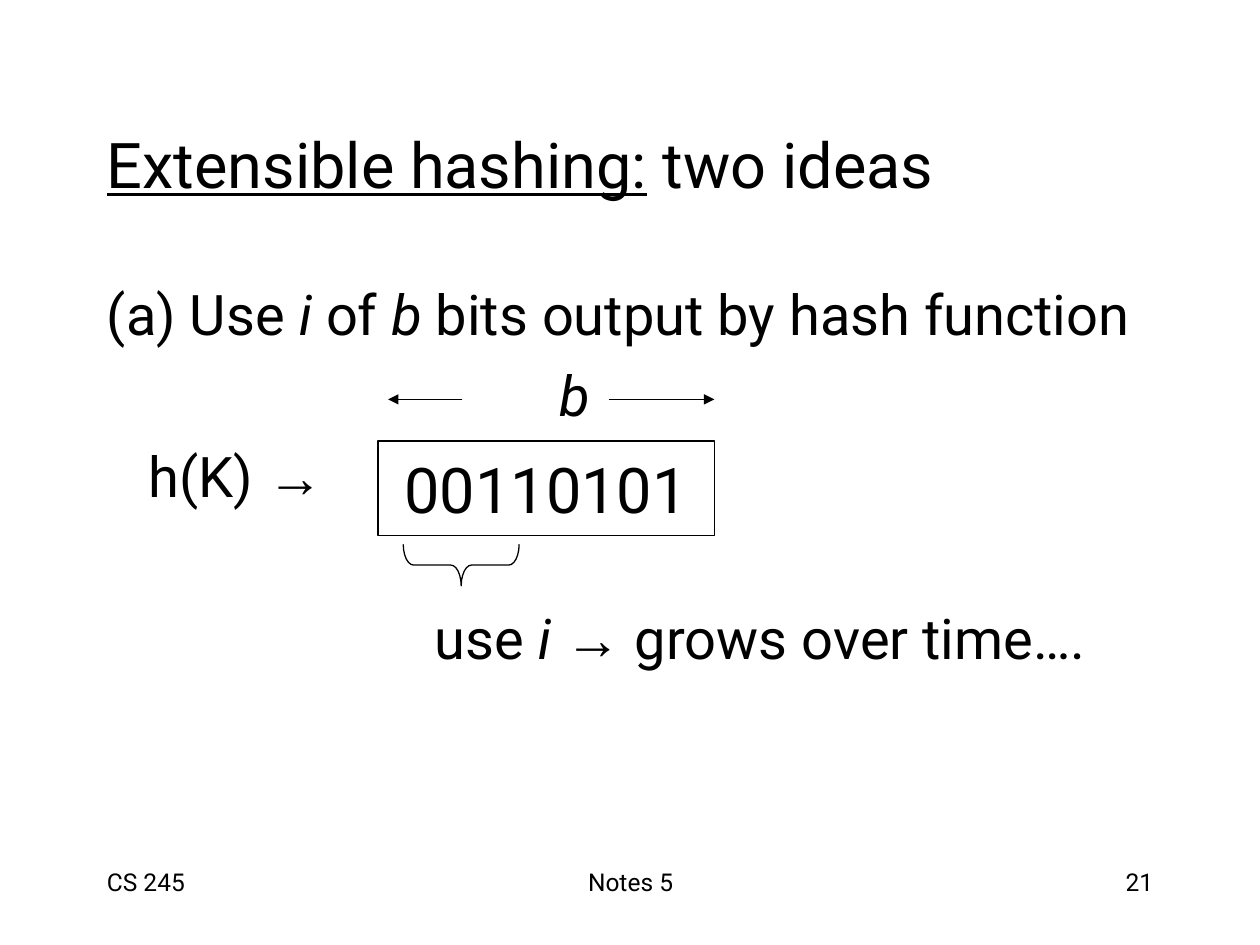
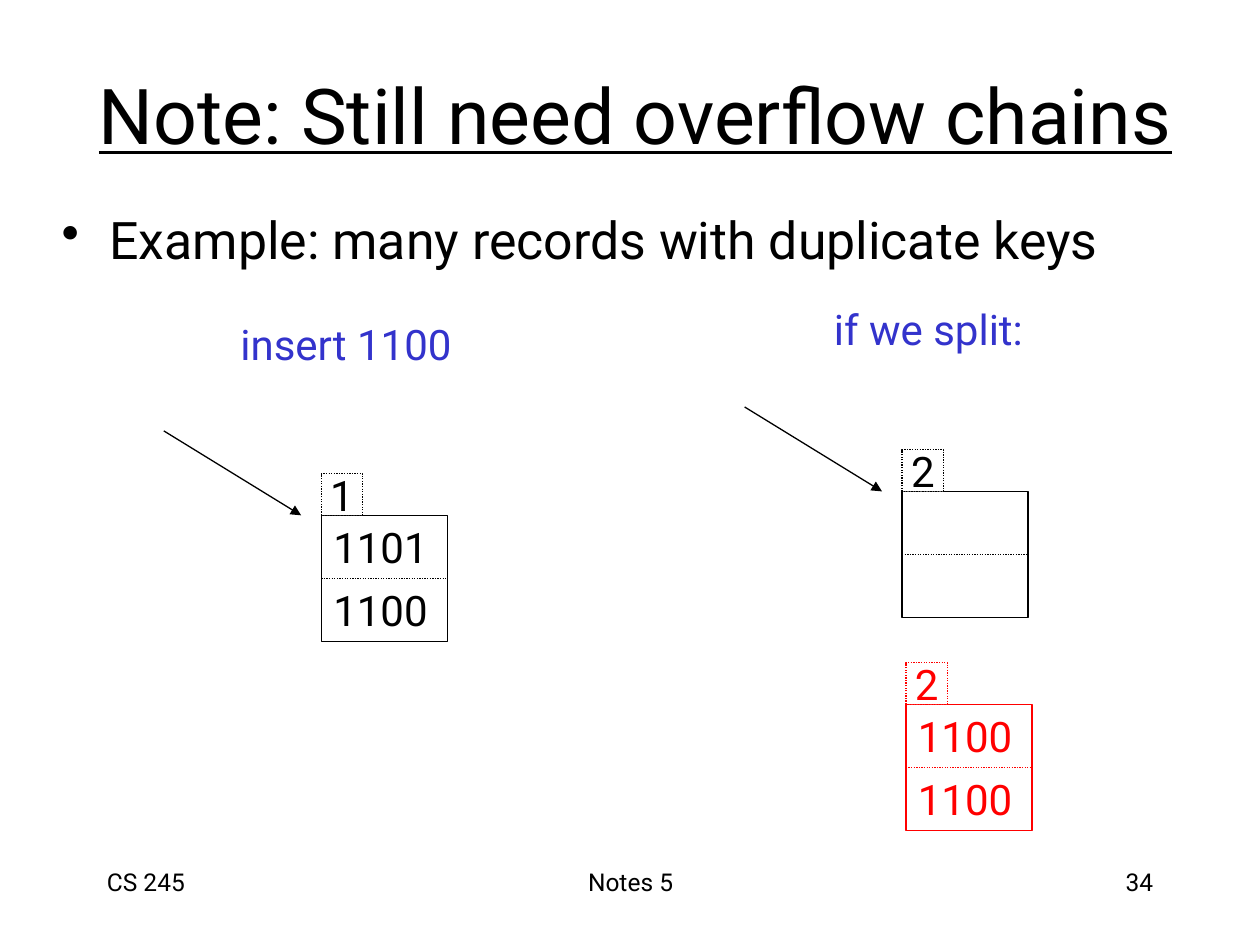
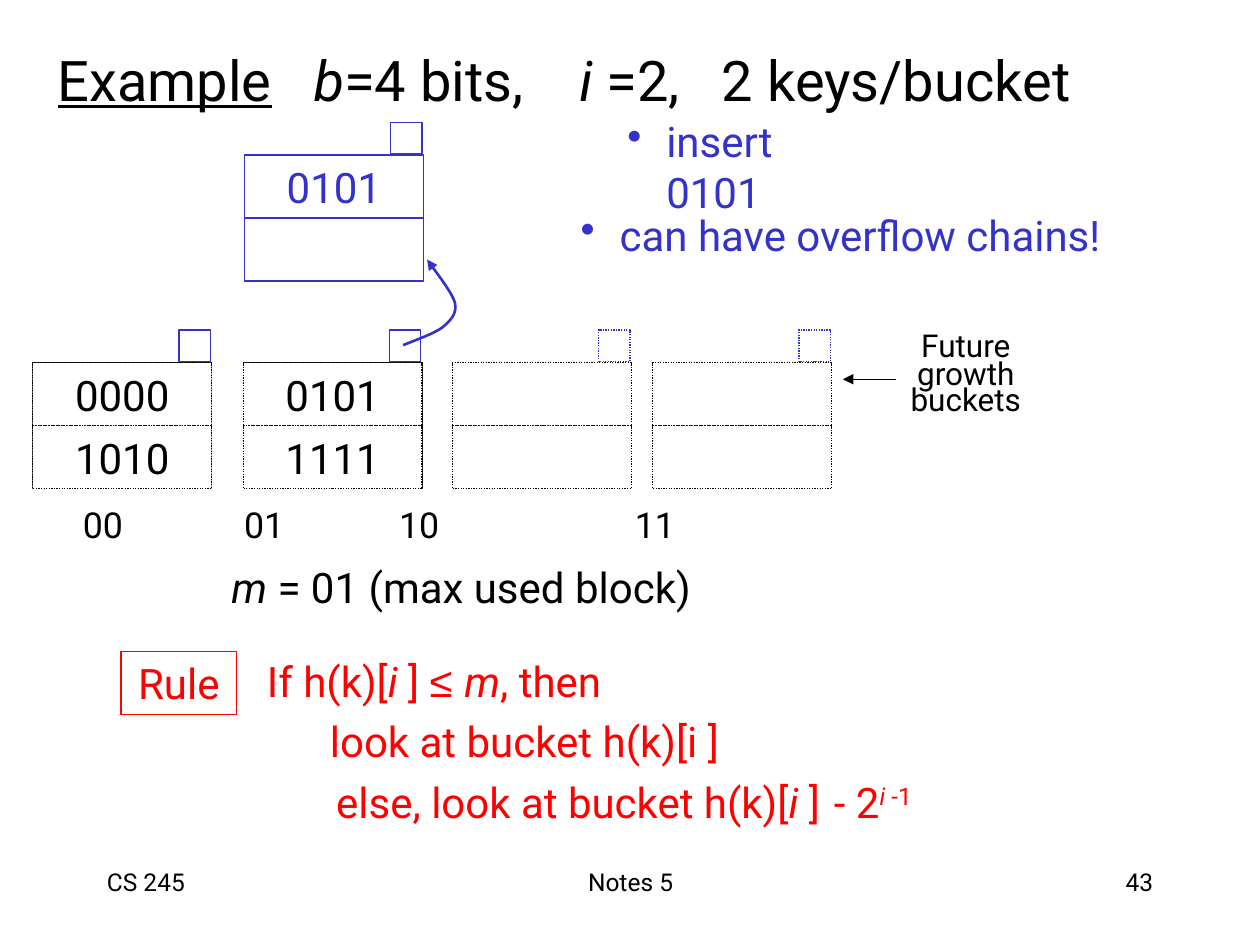
from pptx import Presentation
from pptx.dml.color import RGBColor
from pptx.enum.dml import MSO_LINE
from pptx.enum.shapes import MSO_CONNECTOR, MSO_SHAPE
from pptx.enum.text import MSO_ANCHOR, PP_ALIGN
from pptx.oxml.ns import qn
from pptx.util import Inches, Pt
from lxml.etree import SubElement

BLACK = RGBColor(0x00, 0x00, 0x00)
WHITE = RGBColor(0xFF, 0xFF, 0xFF)
BLUE = RGBColor(0x33, 0x33, 0xCC)
RED = RGBColor(0xFF, 0x00, 0x00)
FONT = "Roboto"
SYMBOL_FONT = "Arial"
DOTTED = MSO_LINE.ROUND_DOT
CELL_HEIGHT = 0.5
BUCKET_WIDTH = 1.42
POINTER_SIZE = 0.25

ITALIC = {"italic": True}
UNDERLINE = {"underline": True}
SYMBOL = {"name": SYMBOL_FONT}
SUPERSCRIPT = {"baseline": 30}


def add_bullet(paragraph, color):
    properties = paragraph._p.get_or_add_pPr()
    bullet_color = SubElement(properties, qn("a:buClr"))
    SubElement(bullet_color, qn("a:srgbClr"), val=str(color))
    SubElement(properties, qn("a:buChar"), char="•")


def add_tabs(paragraph, stops):
    tab_list = SubElement(paragraph._p.get_or_add_pPr(), qn("a:tabLst"))
    for stop in stops:
        SubElement(tab_list, qn("a:tab"), pos=str(Inches(stop)), algn="l")


def write_paragraph(paragraph, runs, size, color=BLACK, align=PP_ALIGN.LEFT,
                    indent=0, hanging=0, before=0, spacing=None,
                    bullet=False, tabs=()):
    paragraph.alignment = align
    if before:
        paragraph.space_before = Pt(before)
    if spacing:
        paragraph.line_spacing = spacing
    if indent:
        properties = paragraph._p.get_or_add_pPr()
        properties.set("marL", str(Inches(indent)))
        properties.set("indent", str(Inches(-hanging)))
    if bullet:
        add_bullet(paragraph, color)
    if tabs:
        add_tabs(paragraph, tabs)
    paragraph.font.name = FONT
    paragraph.font.size = Pt(size)
    paragraph.font.color.rgb = color
    for text, style in [(runs, {})] if isinstance(runs, str) else runs:
        run = paragraph.add_run()
        run.text = text
        for key, value in style.items():
            if key == "baseline":
                run.font._element.set("baseline", str(value * 1000))
            else:
                setattr(run.font, key, value)


def add_text(slide, left, top, width, height, paragraphs, size, wrap=True,
             anchor=MSO_ANCHOR.TOP, **shared):
    box = slide.shapes.add_textbox(
        Inches(left), Inches(top), Inches(width), Inches(height))
    frame = box.text_frame
    frame.word_wrap = wrap
    frame.vertical_anchor = anchor
    for index, (runs, layout) in enumerate(paragraphs):
        paragraph = frame.add_paragraph() if index else frame.paragraphs[0]
        write_paragraph(paragraph, runs, size, **{**shared, **layout})


def add_line_of_text(slide, left, top, width, height, runs, size, **layout):
    add_text(slide, left, top, width, height, [(runs, {})], size, **layout)


def add_centred(slide, left, top, width, height, runs, size, color=BLACK):
    add_line_of_text(slide, left, top, width, height, runs, size, color=color,
                     wrap=False, anchor=MSO_ANCHOR.MIDDLE,
                     align=PP_ALIGN.CENTER)


def add_title(slide, left, top, width, height, runs, size, **layout):
    add_line_of_text(slide, left, top, width, height, runs, size,
                     anchor=MSO_ANCHOR.MIDDLE, **layout)


def add_rect(slide, left, top, width, height, color=BLACK, dash=None,
             label="", size=24):
    rect = slide.shapes.add_shape(
        MSO_SHAPE.RECTANGLE,
        Inches(left), Inches(top), Inches(width), Inches(height))
    rect.shadow.inherit = False
    rect.fill.solid()
    rect.fill.fore_color.rgb = WHITE
    style_line(rect.line, color, 0.75, dash)
    if label:
        frame = rect.text_frame
        frame.word_wrap = False
        frame.vertical_anchor = MSO_ANCHOR.MIDDLE
        write_paragraph(frame.paragraphs[0], label, size, color,
                        PP_ALIGN.CENTER)
    return rect


def style_line(line, color, width, dash=None, arrow=False):
    line.color.rgb = color
    line.width = Pt(width)
    if dash:
        line.dash_style = dash
    if arrow:
        SubElement(line._get_or_add_ln(), qn("a:tailEnd"), type="triangle")


def add_straight(slide, start, end, color=BLACK, dash=None, arrow=False):
    connector = slide.shapes.add_connector(
        MSO_CONNECTOR.STRAIGHT, *map(Inches, start + end))
    style_line(connector.line, color, 0.75, dash, arrow)
    SubElement(connector._element.spPr, qn("a:effectLst"))
    return connector


def add_arrow(slide, start, end):
    add_straight(slide, start, end, arrow=True)


def bezier_points(start, first, second, end, steps=10):
    for step in range(1, steps + 1):
        t = step / steps
        weights = ((1 - t) ** 3, 3 * t * (1 - t) ** 2,
                   3 * t ** 2 * (1 - t), t ** 3)
        yield tuple(
            Inches(sum(w * p[axis] for w, p in
                       zip(weights, (start, first, second, end))))
            for axis in (0, 1))


def add_curved_arrow(slide, start, segments, color):
    outline = slide.shapes.build_freeform(*map(Inches, start))
    points = []
    for segment in segments:
        points.extend(bezier_points(start, *segment))
        start = segment[-1]
    outline.add_line_segments(points, close=False)
    arrow = outline.convert_to_shape()
    arrow.shadow.inherit = False
    arrow.fill.background()
    style_line(arrow.line, color, 1.5, arrow=True)


def add_brace_below(slide, left, top, width, height):
    brace = slide.shapes.add_shape(
        MSO_SHAPE.RIGHT_BRACE,
        Inches(left + (width - height) / 2),
        Inches(top + (height - width) / 2),
        Inches(height), Inches(width))
    brace.rotation = 90
    brace.adjustments[0] = 0.25
    brace.shadow.inherit = False
    brace.fill.background()
    style_line(brace.line, BLACK, 0.75)


def add_block(slide, left, top, depth, keys=(), color=BLACK):
    block = add_rect(slide, left, top, 1, 2 * CELL_HEIGHT, color)
    add_rect(slide, left, top - 0.33, 0.33, 0.33, color, DOTTED, depth)
    middle = top + CELL_HEIGHT
    divider = add_straight(slide, (left, middle), (left + 1, middle),
                           color, DOTTED)
    divider.begin_connect(block, 1)
    divider.end_connect(block, 3)
    for row, key in enumerate(keys):
        add_centred(slide, left - 0.01, top + row * CELL_HEIGHT, 0.96,
                    CELL_HEIGHT, key, 24, color)


def add_bucket(slide, left, top, keys, color=BLACK, cell_dash=DOTTED,
               pointer_dash=None):
    for row, key in enumerate(keys):
        add_rect(slide, left, top + row * CELL_HEIGHT, BUCKET_WIDTH,
                 CELL_HEIGHT, color, cell_dash, key)
    add_rect(slide, left + 1.16, top - 0.26, POINTER_SIZE, POINTER_SIZE,
             BLUE, pointer_dash)


def add_slide(deck, number):
    slide = deck.slides.add_slide(deck.slide_layouts[6])
    for left, width, text, align in (
            (0.75, 2.08, "CS 245", PP_ALIGN.LEFT),
            (3.42, 3.17, "Notes 5", PP_ALIGN.CENTER),
            (7.17, 2.08, str(number), PP_ALIGN.RIGHT)):
        add_line_of_text(slide, left, 6.83, width, 0.5, text, 14, align=align)
    return slide


def build_two_ideas(deck):
    slide = add_slide(deck, 21)
    add_title(slide, 0.75, 0.67, 8.5, 1.25,
              [("Extensible hashing:", UNDERLINE), (" two ideas", {})], 36)
    add_text(slide, 0.75, 2.17, 8.67, 4.5, [
        ([("(a) Use ", {}), ("i", ITALIC), (" of ", {}), ("b", ITALIC),
          (" bits output by hash function", {})],
         {"indent": 0.38, "hanging": 0.38}),
        ([("b", ITALIC)], {"indent": 3.59, "before": 8}),
        ([("h(K) ", {}), ("→", SYMBOL)], {"indent": 0.33, "before": 8}),
        ([("use ", {}), ("i ", ITALIC), ("→", SYMBOL),
          (" grows over time….", {})], {"indent": 2.6, "before": 54}),
    ], 32)
    add_rect(slide, 3, 3.5, 2.67, 0.75, label="00110101", size=36)
    add_arrow(slide, (3.67, 3.17), (3.08, 3.17))
    add_arrow(slide, (4.83, 3.17), (5.67, 3.17))
    add_brace_below(slide, 3.2, 4.32, 0.92, 0.33)


def build_overflow_note(deck):
    slide = add_slide(deck, 34)
    add_title(slide, 0.65, 0.28, 8.79, 1.25,
              [("Note: Still need overflow chains", UNDERLINE)], 44,
              align=PP_ALIGN.CENTER)
    add_line_of_text(slide, 0.39, 1.6, 9.14, 0.69,
                     "Example: many records with duplicate keys", 29.6,
                     indent=0.38, hanging=0.38, bullet=True)
    add_block(slide, 2.55, 4.09, "1", ("1101", "1100"))
    add_block(slide, 7.16, 3.9, "2")
    add_block(slide, 7.19, 5.59, "2", ("1100", "1100"), RED)
    add_arrow(slide, (1.3, 3.42), (2.39, 4.09))
    add_arrow(slide, (5.91, 3.23), (7, 3.9))
    add_line_of_text(slide, 1.81, 2.48, 1.94, 0.5, "insert 1100", 24,
                     color=BLUE)
    add_line_of_text(slide, 6.52, 2.36, 1.77, 0.5, "if we split:", 24,
                     color=BLUE)


def build_linear_example(deck):
    slide = add_slide(deck, 43)
    add_title(slide, 0.36, 0.34, 8.81, 0.57,
              [("Example", UNDERLINE), ("\t", {}), ("b", ITALIC),
               ("=4 bits,\t", {}), ("i ", ITALIC),
               ("=2,\t2 keys/bucket", {})], 32, tabs=(2.03, 4.14, 5.27))
    add_line_of_text(slide, 0.56, 3.94, 6.13, 0.48, "00\t01\t10\t11", 20.4,
                     tabs=(1.28, 2.51, 4.38))

    bucket_top = 2.88
    for left, keys in ((0.26, ("0000", "1010")), (1.93, ("0101", "1111"))):
        add_rect(slide, left, bucket_top, BUCKET_WIDTH, 2 * CELL_HEIGHT)
        add_bucket(slide, left, bucket_top, keys)
    for left in (3.59, 5.18):
        add_bucket(slide, left, bucket_top, ("", ""), pointer_dash=DOTTED)
    add_bucket(slide, 1.94, 1.23, ("0101", ""), BLUE, cell_dash=None)
    add_curved_arrow(slide, (3.2, 2.74), (
        ((3.32, 2.69), (3.44, 2.65), (3.51, 2.6)),
        ((3.58, 2.54), (3.63, 2.49), (3.61, 2.4)),
        ((3.59, 2.32), (3.43, 2.12), (3.39, 2.06))), BLUE)

    add_arrow(slide, (7.11, 3.01), (6.69, 3.01))
    add_text(slide, 7.11, 2.54, 1.11, 0.82, [
        ("Future", {}),
        ("growth", {"spacing": 0.7}),
        ("buckets", {"spacing": 0.7}),
    ], 18, wrap=False, anchor=MSO_ANCHOR.MIDDLE, align=PP_ALIGN.CENTER)
    add_centred(slide, 1.68, 4.41, 3.96, 0.5,
                [("m", ITALIC), (" = 01 (max used block)", {})], 24)

    add_text(slide, 2.02, 5.15, 6.05, 1.5, [
        ([("If h(k)[", {}), ("i ", ITALIC), ("] ", {}), ("≤ ", SYMBOL),
          ("m", ITALIC), (", then", {})], {}),
        ("look at bucket h(k)[i ]", {"indent": 0.5, "before": 6}),
        ([("else, look at bucket h(k)[", {}), ("i ", ITALIC), ("]", {}),
          (" ", {"size": Pt(32)}), ("- 2", {}),
          ("i ", {**ITALIC, **SUPERSCRIPT}), ("-1", SUPERSCRIPT)],
         {"indent": 0.55, "before": 8, "spacing": 0.7}),
    ], 24, color=RED)
    add_rect(slide, 0.96, 5.17, 0.92, 0.5, RED, label="Rule")

    for left, top, width, text, indent in (
            (4.45, 1.61, 4.5, "can have overflow chains!", 0.37),
            (4.47, 1.07, 2.16, "insert 0101", 0.72)):
        add_line_of_text(slide, left, top, width, 0.5, text, 24, color=BLUE,
                         anchor=MSO_ANCHOR.MIDDLE, indent=indent,
                         hanging=0.31, bullet=True)


def main():
    deck = Presentation()
    deck.slide_width = Inches(10)
    deck.slide_height = Inches(7.5)
    build_two_ideas(deck)
    build_overflow_note(deck)
    build_linear_example(deck)
    deck.save("out.pptx")


if __name__ == "__main__":
    main()
